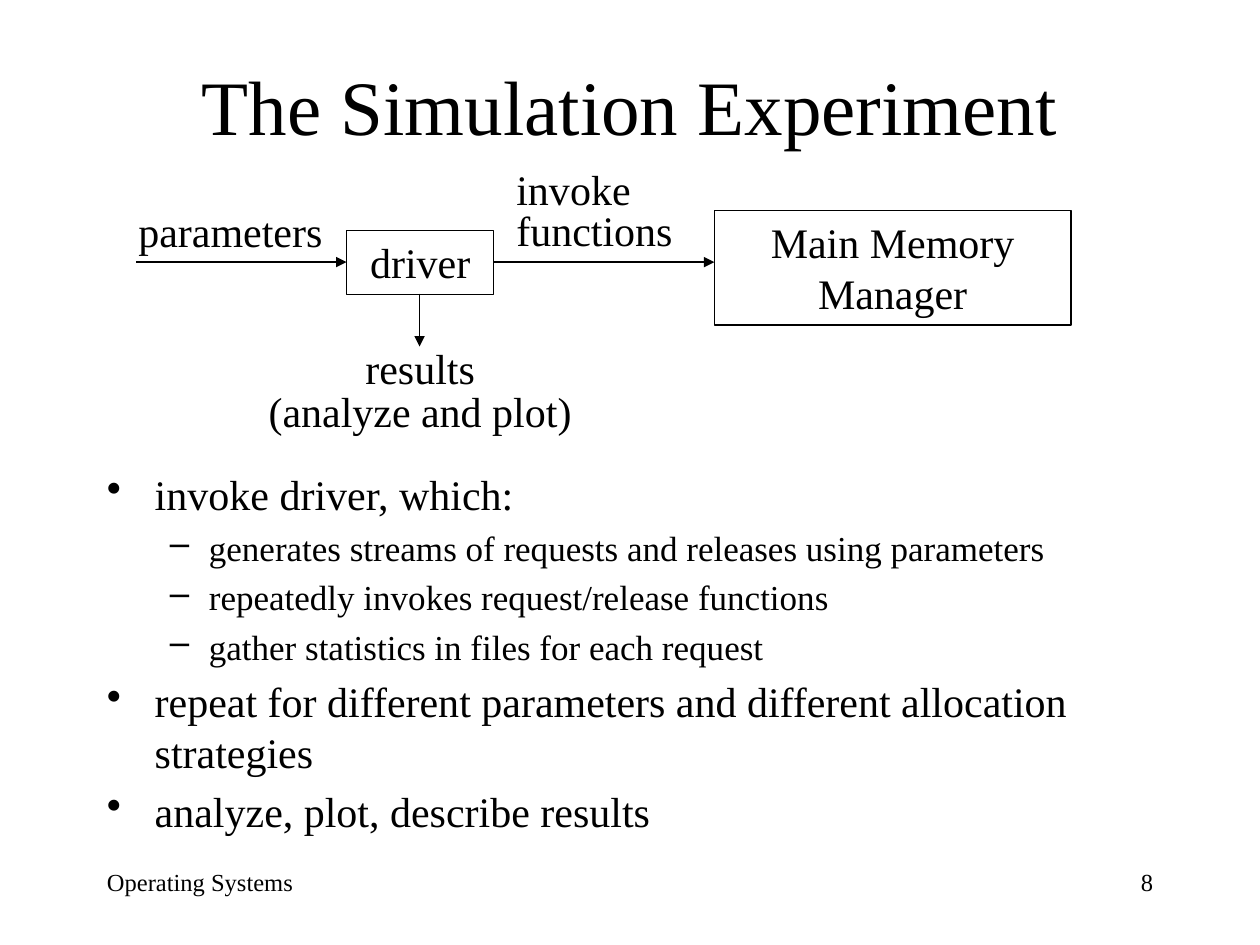
from pptx import Presentation
from pptx.util import Inches, Pt
from pptx.dml.color import RGBColor as Rgb
from pptx.enum.shapes import MSO_SHAPE as Shape, MSO_CONNECTOR as Link
from pptx.enum.text import PP_ALIGN as Align, MSO_ANCHOR as Anchor
from pptx.oxml.ns import qn
from lxml.etree import SubElement as Sub

FONT = "Times New Roman"
INK = "000000"
LEFT, WIDE = 0.75, 8.5


def paint(part, tone):
    part.rgb = Rgb.from_string(tone)


def add_run(para, text, size):
    run = para.add_run()
    run.text = text
    run.font.name = FONT
    run.font.size = Pt(size)
    paint(run.font.color, INK)


def next_para(frame, first):
    return frame.paragraphs[0] if first else frame.add_paragraph()


def add_text(slide, box, lines, size=24, align=Align.LEFT, anchor=Anchor.TOP):
    """Each line is (text, line spacing, points before)."""
    frame = slide.shapes.add_textbox(*map(Inches, box)).text_frame
    frame.word_wrap = True
    frame.vertical_anchor = anchor
    for i, (text, pitch, gap) in enumerate(lines):
        para = next_para(frame, i == 0)
        para.alignment = align
        para.line_spacing = pitch
        para.space_before = Pt(gap)
        add_run(para, text, size)


def add_box(slide, box, text):
    rect = slide.shapes.add_shape(Shape.RECTANGLE, *map(Inches, box))
    rect.shadow.inherit = False
    rect.fill.background()
    paint(rect.line.color, INK)
    rect.line.width = Pt(0.75)
    frame = rect.text_frame
    frame.word_wrap = True
    frame.vertical_anchor = Anchor.TOP
    para = frame.paragraphs[0]
    para.alignment = Align.CENTER
    add_run(para, text, 24)


def add_arrow(slide, start, end):
    line = slide.shapes.add_connector(Link.STRAIGHT, *map(Inches, start + end))
    paint(line.line.color, INK)
    line.line.width = Pt(0.75)
    Sub(line.line._get_or_add_ln(), qn("a:tailEnd"), type="triangle")
    Sub(line._element.spPr, qn("a:effectLst"))


def add_title(slide, box, text):
    add_text(slide, box, [(text, 1, 0)], 44, Align.CENTER, Anchor.MIDDLE)


def add_flow(slide, x, y):
    """Driver diagram, placed from its top left corner."""
    def at(dx, dy, *size):
        return (x + dx, y + dy) + size

    # Boxes
    add_box(slide, at(1.75, 0.5, 1.17, 0.51), "driver")
    add_box(slide, at(4.67, 0.34, 2.83, 0.91), "Main Memory Manager")
    # Arrows
    for start, end in [((0.08, 0.75), (1.75, 0.75)),
                       ((2.92, 0.75), (4.67, 0.75)),
                       ((2.33, 1), (2.33, 1.42))]:
        add_arrow(slide, at(*start), at(*end))
    # Labels
    add_text(slide, at(0, 0.25, 1.67, 0.5), [("parameters", 1, 0)])
    add_text(slide, at(3, 0, 1.5, 0.74), [("invoke functions", 0.8, 0)])
    add_text(slide, at(0.92, 1.42, 2.83, 0.75),
             [("results", 0.8, 0), ("(analyze and plot)", 0.6, 6)],
             align=Align.CENTER)


def add_list(slide, box, items):
    """Each item is (level, text)."""
    looks = [("•", 0.38, 0.38, 24), ("–", 0.81, 0.31, 20)]
    frame = slide.shapes.add_textbox(*map(Inches, box)).text_frame
    frame.word_wrap = True
    for i, (level, text) in enumerate(items):
        mark, edge, hang, size = looks[level]
        para = next_para(frame, i == 0)
        para.level = level
        para.space_before = Pt(size * 0.21)
        props = para._p.get_or_add_pPr()
        props.set("marL", str(Inches(edge)))
        props.set("indent", str(-Inches(hang)))
        Sub(props, qn("a:buChar"), char=mark)
        add_run(para, text, size)


def add_foot(slide, y, name, page):
    side = 2.08
    add_text(slide, (LEFT, y, side, 0.5), [(name, 1, 0)], 14)
    add_text(slide, (LEFT + WIDE - side, y, side, 0.5), [(page, 1, 0)], 14,
             Align.RIGHT)


deck = Presentation()
deck.slide_width, deck.slide_height = Inches(10), Inches(7.5)
slide = deck.slides.add_slide(deck.slide_layouts[6])
add_title(slide, (LEFT, 0.42, WIDE, 0.83), "The Simulation Experiment")
add_flow(slide, 1, 1.33)
add_list(slide, (LEFT, 3.67, WIDE, 3.08), [
    (0, "invoke driver, which:"),
    (1, "generates streams of requests and releases using parameters"),
    (1, "repeatedly invokes request/release functions"),
    (1, "gather statistics in files for each request"),
    (0, "repeat for different parameters and different allocation strategies"),
    (0, "analyze, plot, describe results"),
])
add_foot(slide, 6.83, "Operating Systems", "8")
deck.save("out.pptx")
